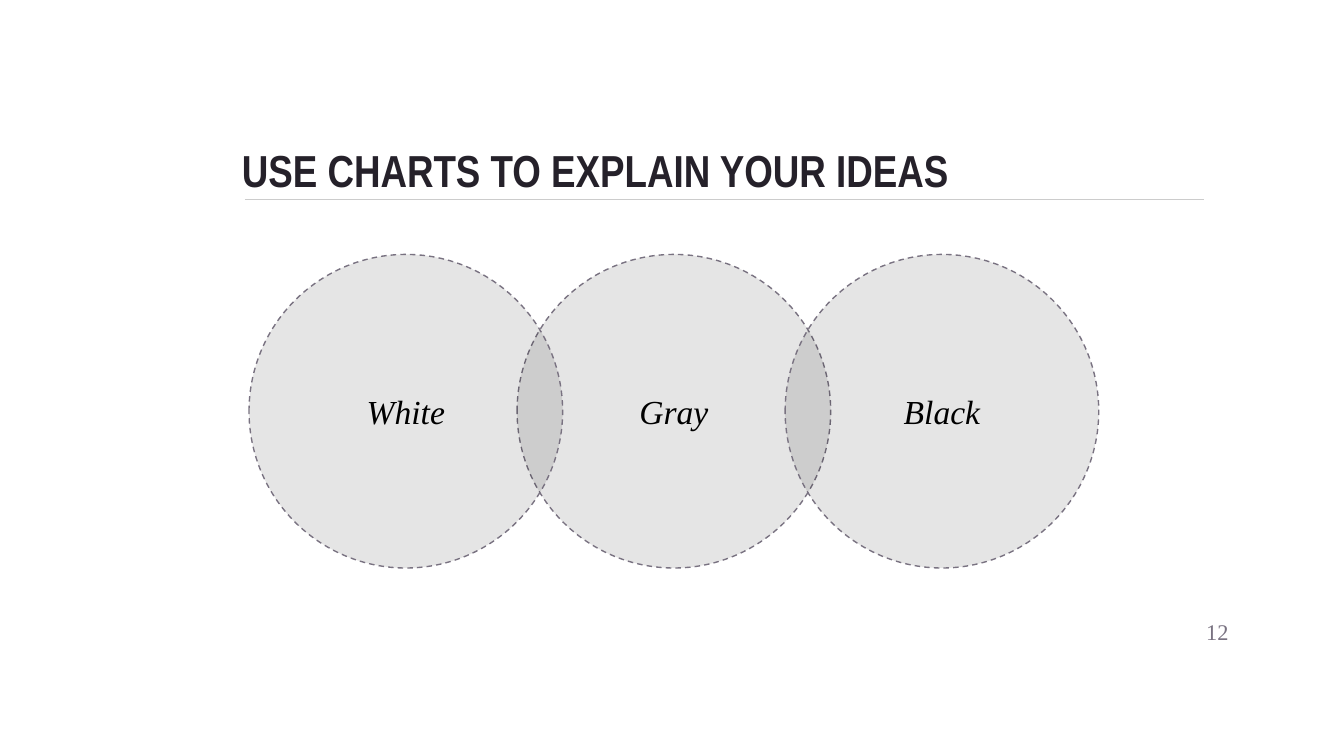
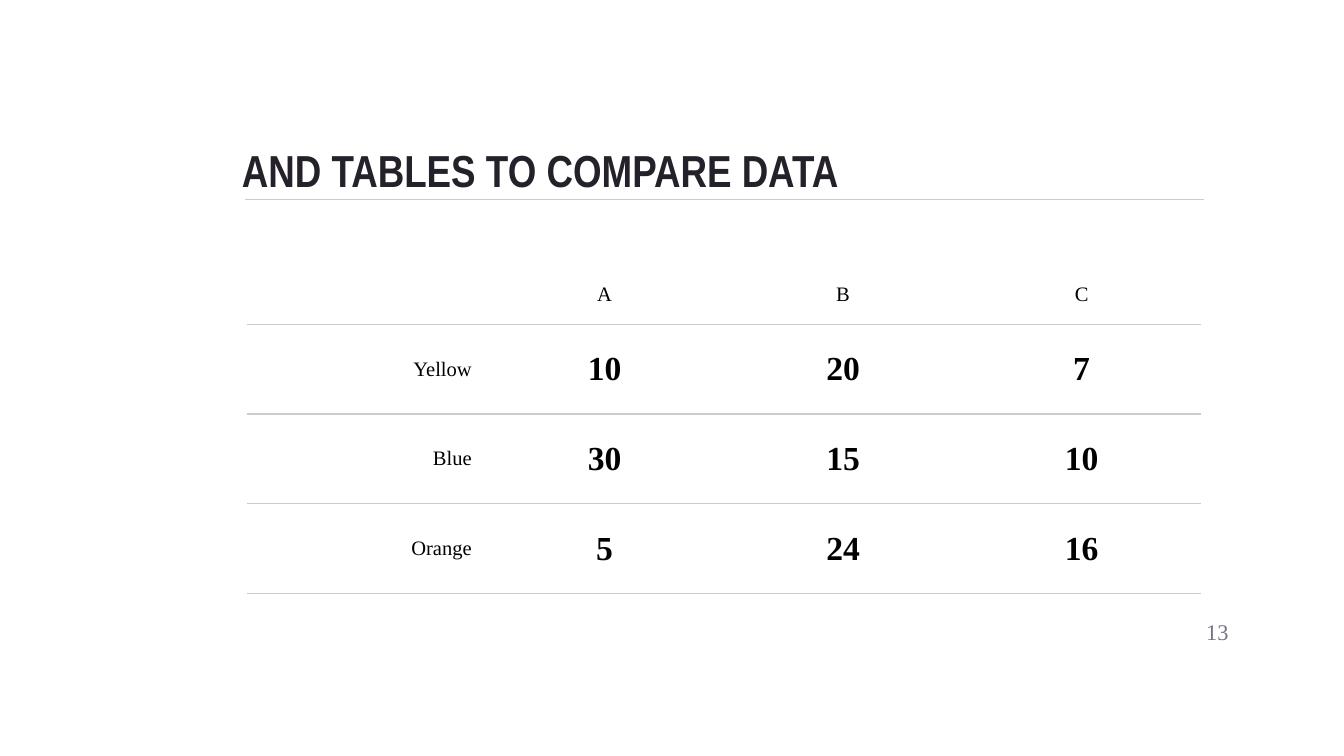
"""Builds two slides: overlapping circles and a comparison table."""
import pptx
import pptx.util
import pptx.dml.color
import pptx.enum.dml
import pptx.enum.shapes
import pptx.enum.text
import pptx.oxml
import pptx.oxml.ns
from lxml import etree

Pt = pptx.util.Pt
RGBColor = pptx.dml.color.RGBColor
ALIGN = pptx.enum.text.PP_ALIGN
ANCHOR = pptx.enum.text.MSO_ANCHOR
qn = pptx.oxml.ns.qn

INK = RGBColor(0x25, 0x21, 0x2A)
MUTED = RGBColor(0x79, 0x72, 0x81)
RULE = RGBColor(0xCC, 0xCC, 0xCC)
BLACK = RGBColor(0, 0, 0)
TITLE_FONT = "Arial Narrow"
BODY_FONT = "Times New Roman"
INSET = 7.2
CELL_INSET = 5
HAIRLINE = 0.75
NO_TABLE_STYLE = "{2D5ABB26-0587-4C30-8999-92F81FD0307C}"

CIRCLES_TITLE = "USE CHARTS TO EXPLAIN YOUR IDEAS"
CIRCLES = [(1, "Gray"), (0, "White"), (2, "Black")]
CIRCLE_LEFT, CIRCLE_TOP, CIRCLE_SIZE, CIRCLE_STEP = 133.4, 136.3, 168, 143.6
CIRCLE_OPACITY = 10

COMPARISON_TITLE = "AND TABLES TO COMPARE DATA"
COMPARISON = [
    ("", "A", "B", "C"),
    ("Yellow", "10", "20", "7"),
    ("Blue", "30", "15", "10"),
    ("Orange", "5", "24", "16"),
]
TABLE_LEFT, TABLE_TOP, COLUMN_WIDTH = 132.2, 141.8, 127.8
HEADER_HEIGHT, ROW_HEIGHT = 30.4, 48.1


def write(frame, text, size, color, font=BODY_FONT, align=ALIGN.LEFT, bold=False, italic=False):
    paragraph = frame.paragraphs[0]
    paragraph.alignment = align
    run = paragraph.add_run()
    run.text = text
    run.font.name = font
    run.font.size = Pt(size)
    run.font.bold = bold
    run.font.italic = italic
    run.font.color.rgb = color


def set_frame(frame, anchor):
    frame.word_wrap = True
    frame.auto_size = pptx.enum.text.MSO_AUTO_SIZE.NONE
    frame.vertical_anchor = anchor
    frame.margin_left = frame.margin_right = Pt(INSET)
    frame.margin_top = frame.margin_bottom = Pt(INSET)
    return frame


def add_slide(deck, heading, number):
    slide = deck.slides.add_slide(deck.slide_layouts[5])
    title = slide.shapes.title
    title.left, title.top, title.width, title.height = map(Pt, (122.4, 56.9, 521.3, 55.4))
    write(set_frame(title.text_frame, ANCHOR.BOTTOM), heading, 24, INK, TITLE_FONT, bold=True)

    underline = slide.shapes.add_connector(
        pptx.enum.shapes.MSO_CONNECTOR.STRAIGHT, Pt(131.2), Pt(106.8), Pt(645.1), Pt(106.8))
    underline.line.color.rgb = RULE
    underline.line.width = Pt(HAIRLINE)
    etree.SubElement(underline.line._get_or_add_ln().getparent(), qn("a:effectLst"))

    page = slide.shapes.add_textbox(Pt(622.1), Pt(322.6), Pt(43.2), Pt(31))
    write(set_frame(page.text_frame, ANCHOR.MIDDLE), str(number), 12, MUTED, align=ALIGN.RIGHT)
    return slide


def add_circle(slide, position, label):
    circle = slide.shapes.add_shape(
        pptx.enum.shapes.MSO_SHAPE.OVAL, Pt(CIRCLE_LEFT + position * CIRCLE_STEP),
        Pt(CIRCLE_TOP), Pt(CIRCLE_SIZE), Pt(CIRCLE_SIZE))
    circle.shadow.inherit = False
    circle.fill.solid()
    circle.fill.fore_color.rgb = BLACK
    tint = circle.fill._xPr.find(qn("a:solidFill"))[0]
    etree.SubElement(tint, qn("a:alpha"), val=str(CIRCLE_OPACITY * 1000))
    circle.line.color.rgb = MUTED
    circle.line.width = Pt(HAIRLINE)
    circle.line.dash_style = pptx.enum.dml.MSO_LINE.DASH
    write(set_frame(circle.text_frame, ANCHOR.MIDDLE), label, 18, BLACK,
          align=ALIGN.CENTER, italic=True)


def underline_cell(cell):
    border = etree.Element(qn("a:lnB"), w=str(Pt(HAIRLINE)))
    fill = etree.SubElement(border, qn("a:solidFill"))
    etree.SubElement(fill, qn("a:srgbClr"), val=str(RULE))
    cell._tc.get_or_add_tcPr().insert(0, border)


def add_comparison(slide):
    row_count, column_count = len(COMPARISON), len(COMPARISON[0])
    heights = [HEADER_HEIGHT] + [ROW_HEIGHT] * (row_count - 1)
    table = slide.shapes.add_table(
        row_count, column_count, Pt(TABLE_LEFT), Pt(TABLE_TOP),
        Pt(COLUMN_WIDTH * column_count), Pt(sum(heights))).table
    table.first_row = table.horz_banding = False
    table._tbl.tblPr.find(qn("a:tableStyleId")).text = NO_TABLE_STYLE
    for column in table.columns:
        column.width = Pt(COLUMN_WIDTH)
    for r, values in enumerate(COMPARISON):
        table.rows[r].height = Pt(heights[r])
        for c, value in enumerate(values):
            cell = table.cell(r, c)
            cell.fill.background()
            underline_cell(cell)
            cell.vertical_anchor = ANCHOR.MIDDLE
            cell.margin_left = cell.margin_right = Pt(INSET)
            cell.margin_top = cell.margin_bottom = Pt(CELL_INSET)
            is_figure = r > 0 and c > 0
            if value:
                write(cell.text_frame, value, 18 if is_figure else 11, BLACK,
                      align=ALIGN.CENTER if c else ALIGN.RIGHT, bold=is_figure)


def main():
    deck = pptx.Presentation()
    deck.slide_width, deck.slide_height = Pt(720), Pt(405)
    circles_slide = add_slide(deck, CIRCLES_TITLE, 12)
    for position, label in CIRCLES:
        add_circle(circles_slide, position, label)
    add_comparison(add_slide(deck, COMPARISON_TITLE, 13))
    deck.save("out.pptx")


if __name__ == "__main__":
    main()
